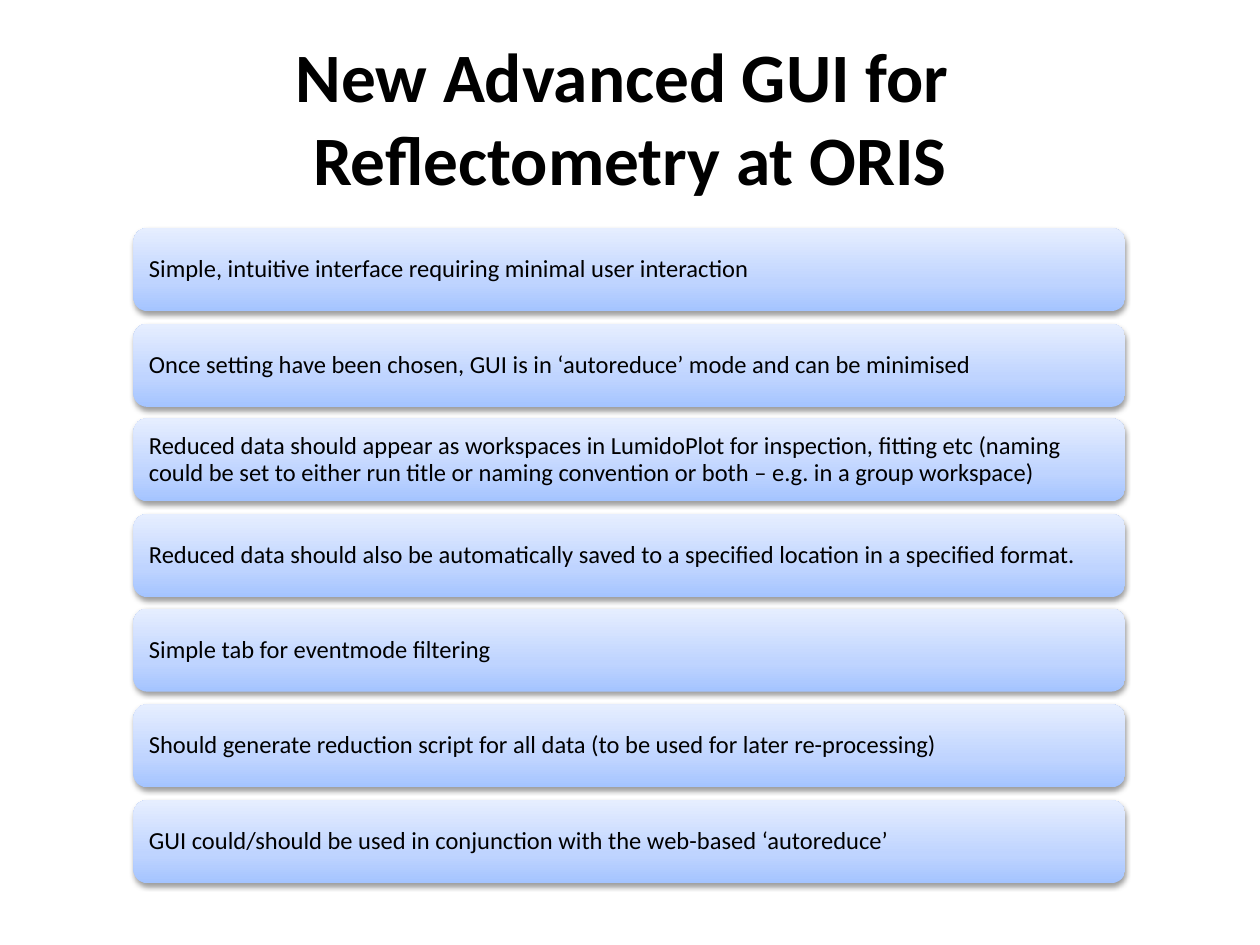
from pptx import Presentation
from pptx.dml.color import RGBColor
from pptx.enum.shapes import MSO_SHAPE
from pptx.enum.text import MSO_ANCHOR, PP_ALIGN
from pptx.oxml import parse_xml
from pptx.oxml.ns import nsdecls
from pptx.util import Inches, Pt

ROUNDED = MSO_SHAPE.ROUNDED_RECTANGLE
MIDDLE = MSO_ANCHOR.MIDDLE
LEFT, CENTER = PP_ALIGN.LEFT, PP_ALIGN.CENTER

BLACK = RGBColor(0x00, 0x00, 0x00)
BLUE = RGBColor(0xA4, 0xC4, 0xFF)
LIGHT_BLUE = RGBColor(0xBF, 0xD4, 0xFF)
PALE_BLUE = RGBColor(0xE6, 0xEE, 0xFF)
BAR_STOPS = [(0, BLUE), (35, LIGHT_BLUE), (100, PALE_BLUE)]

FONT = "Calibri"
TITLE = "New Advanced GUI for \vReflectometry at ORIS"
REQUIREMENTS = [
    "Simple, intuitive interface requiring minimal user interaction",
    "Once setting have been chosen, GUI is in ‘autoreduce’ mode and can be minimised",
    "Reduced data should appear as workspaces in LumidoPlot for inspection, fitting etc "
    "(naming could be set to either run title or naming convention or both – e.g. in a "
    "group workspace)",
    "Reduced data should also be automatically saved to a specified location in a "
    "specified format.",
    "Simple tab for eventmode filtering",
    "Should generate reduction script for all data (to be used for later re-processing)",
    "GUI could/should be used in conjunction with the web-based ‘autoreduce’",
]

BAR_LEFT, BAR_TOP = 1.06, 1.81
BAR_WIDTH, BAR_HEIGHT = 7.87, 0.66
BAR_PITCH = 0.756


def write_text(sp, text, size, bold=False, align=LEFT, spacing=1.0, inset=0.1):
    tf = sp.text_frame
    tf.word_wrap = True
    tf.vertical_anchor = MIDDLE
    tf.margin_left = tf.margin_right = Inches(inset)
    tf.margin_top = tf.margin_bottom = Inches(0.05)
    p = tf.paragraphs[0]
    p.text = text
    p.alignment = align
    p.line_spacing = spacing
    for r in p.runs:
        r.font.name = FONT
        r.font.size = Pt(size)
        r.font.bold = bold
        r.font.color.rgb = BLACK


def set_gradient(sp, stops):
    sp.fill.gradient()
    sp.fill.gradient_angle = 90
    gradient = sp._element.spPr.gradFill
    stop_list = "".join(
        f'<a:gs pos="{pos * 1000}"><a:srgbClr val="{color}"/></a:gs>'
        for pos, color in stops
    )
    gradient.replace(
        gradient.gsLst,
        parse_xml(f'<a:gsLst {nsdecls("a")}>{stop_list}</a:gsLst>'),
    )


def set_shadow(sp):
    sp.shadow.inherit = False
    sp._element.spPr.effectLst.append(parse_xml(
        f'<a:outerShdw {nsdecls("a")} blurRad="{Pt(3.1)}" dist="{Pt(1.6)}" '
        'dir="5400000" rotWithShape="0">'
        f'<a:srgbClr val="{BLACK}"><a:alpha val="38000"/></a:srgbClr></a:outerShdw>'
    ))


def add_title(slide, text):
    sp = slide.shapes.add_textbox(Inches(0.5), Inches(0.3), Inches(9), Inches(1.25))
    write_text(sp, text, 39.6, bold=True, align=CENTER)


def add_bar(slide, top, text):
    sp = slide.shapes.add_shape(
        ROUNDED, Inches(BAR_LEFT), Inches(top), Inches(BAR_WIDTH), Inches(BAR_HEIGHT)
    )
    set_gradient(sp, BAR_STOPS)
    sp.line.fill.background()
    set_shadow(sp)
    write_text(sp, text, 14, spacing=0.9, inset=0.09)


def main():
    prs = Presentation()
    prs.slide_width, prs.slide_height = Inches(10), Inches(7.5)
    slide = prs.slides.add_slide(prs.slide_layouts[6])
    add_title(slide, TITLE)
    for i, requirement in enumerate(REQUIREMENTS):
        add_bar(slide, round(BAR_TOP + i * BAR_PITCH, 2), requirement)
    prs.save("out.pptx")


main()
